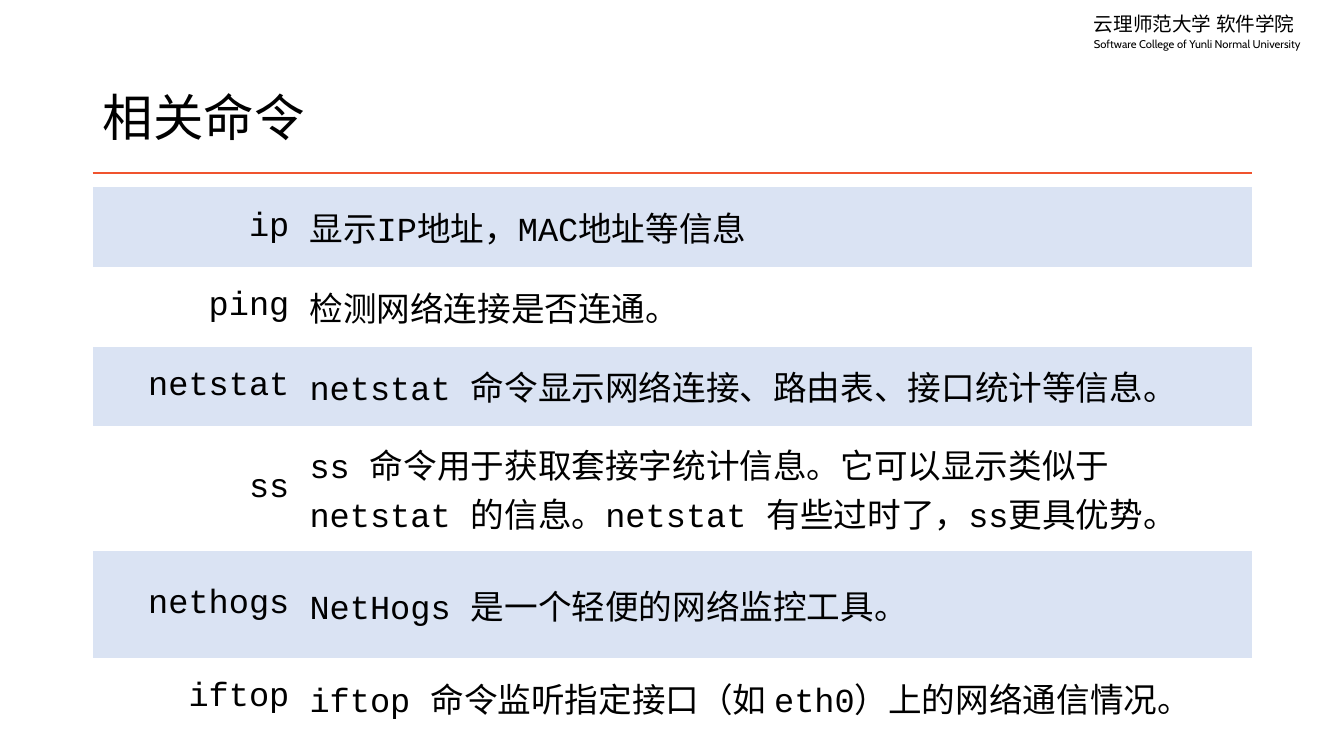
from pptx import Presentation
from pptx.dml.color import RGBColor
from pptx.enum.shapes import MSO_CONNECTOR
from pptx.enum.text import MSO_ANCHOR, PP_ALIGN
from pptx.oxml.ns import qn
from pptx.util import Inches, Pt
from lxml.etree import SubElement

HAN = "Noto Sans CJK SC"
MONO = "Courier New"


def color(code):
    return RGBColor.from_string(code)


def write(par, text, size, face):
    run = par.add_run()
    run.text = text
    look = {"size": Pt(size), "name": face, "bold": False}
    for key, value in look.items():
        setattr(run.font, key, value)
    run.font.color.rgb = color("000000")
    SubElement(run.font._element, qn("a:ea")).set("typeface", HAN)


deck = Presentation()
deck.slide_width = Inches(13.33)
deck.slide_height = Inches(7.5)
slide = deck.slides.add_slide(deck.slide_layouts[5])
left, width = Inches(0.92), Inches(11.5)

# Rule under the title
rule = slide.shapes.add_connector(
    MSO_CONNECTOR.STRAIGHT, left, Inches(1.72), left + width, Inches(1.72))
rule.line.color.rgb = color("F0532E")
rule.line.width = Pt(1.5)
SubElement(rule.element.spPr, qn("a:effectLst"))

# School name in the corner
school = slide.shapes.add_textbox(
    Inches(10.75), Inches(0.07), Inches(2.49), Inches(0.49)).text_frame
school.word_wrap = True
write(school.paragraphs[0], "云理师范大学 软件学院", 14, HAN)
second = school.add_paragraph()
second.line_spacing = Pt(10.8)
write(second, "Software College of Yunli Normal University", 8, "Cabin")

# Title
title = slide.shapes.title
place = {"left": left, "top": Inches(0.81), "width": width, "height": Inches(0.77)}
for key, value in place.items():
    setattr(title, key, value)
title.text_frame.vertical_anchor = MSO_ANCHOR.MIDDLE
head = title.text_frame.paragraphs[0]
head.alignment = PP_ALIGN.LEFT
head.line_spacing = 0.9
write(head, "相关命令", 36, HAN)

# Table of commands: name, meaning, row height
rows = [
    ("ip", "显示IP地址，MAC地址等信息", 0.79),
    ("ping", "检测网络连接是否连通。", 0.79),
    ("netstat", "netstat 命令显示网络连接、路由表、接口统计等信息。", 0.79),
    ("ss", "ss 命令用于获取套接字统计信息。它可以显示类似于 netstat 的信息。"
           "netstat 有些过时了，ss更具优势。", 1.24),
    ("nethogs", "NetHogs 是一个轻便的网络监控工具。", 1.06),
    ("iftop", "iftop 命令监听指定接口（如 eth0）上的网络通信情况。", 0.79),
]
frame = slide.shapes.add_table(
    len(rows), 2, left, Inches(1.86), width, Inches(5.46))
table = frame.table
table.first_row = table.horz_banding = False
# Plain table style without borders
style = frame.element.find(".//" + qn("a:tableStyleId"))
style.text = "{2D5ABB26-0587-4C30-8999-92F81FD0307C}"
table.columns[0].width = Inches(2.05)
table.columns[1].width = Inches(9.45)

for i, (name, note, height) in enumerate(rows):
    table.rows[i].height = Inches(height)
    for j, (text, align) in enumerate(
            [(name, PP_ALIGN.RIGHT), (note, PP_ALIGN.LEFT)]):
        cell = table.cell(i, j)
        cell.vertical_anchor = MSO_ANCHOR.MIDDLE
        if i % 2 == 0:
            cell.fill.solid()
            cell.fill.fore_color.rgb = color("DAE3F3")
        else:
            cell.fill.background()
        par = cell.text_frame.paragraphs[0]
        par.alignment = align
        write(par, text, 24, MONO)

deck.save("out.pptx")
